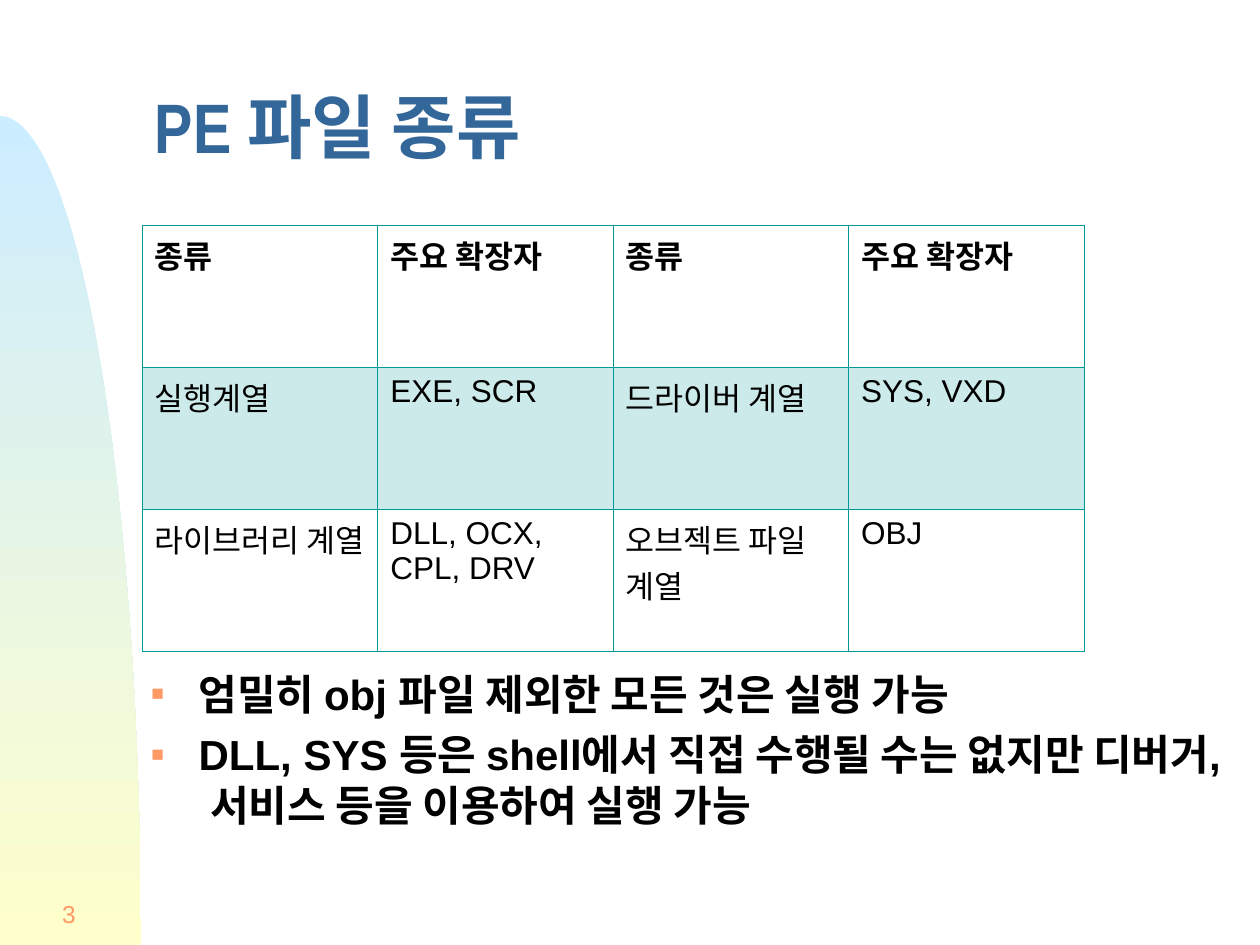
import math

from lxml import etree
from pptx import Presentation
from pptx import util as u
from pptx.dml.color import RGBColor
from pptx.enum import text
from pptx.oxml import ns

SKY = RGBColor(0xCC, 0xEC, 0xFF)
CREAM = RGBColor(0xFF, 0xFF, 0xCC)
BLUE = RGBColor(0x33, 0x66, 0x99)
ORANGE = RGBColor(0xFF, 0x99, 0x66)
TEAL = RGBColor(0x00, 0x99, 0x99)
INK = RGBColor(0x01, 0x00, 0x00)

ROWS = [
    ["종류", "주요 확장자", "종류", "주요 확장자"],
    ["실행계열", "EXE, SCR", "드라이버 계열", "SYS, VXD"],
    ["라이브러리 계열", "DLL, OCX, CPL, DRV", "오브젝트 파일 계열", "OBJ"],
]
BULLETS = [
    "엄밀히 obj 파일 제외한 모든 것은 실행 가능",
    "DLL, SYS 등은 shell에서 직접 수행될 수는 없지만 디버거, 서비스 등을 이용하여 실행 가능",
]
THIN, THICK = u.Pt(0.45), u.Pt(0.96)


def add_element(parent, tag, **attributes):
    return etree.SubElement(parent, ns.qn(tag), attributes)


def add_run(paragraph, words, size, color, bold=False, name="Arial"):
    run = paragraph.add_run()
    run.text = words
    run.font.size = u.Pt(size)
    run.font.name = name
    run.font.bold = bold
    run.font.color.rgb = color


def place(shape, box):
    shape.left, shape.top, shape.width, shape.height = box


def add_side_curve(slide, box):
    left, top, width, height = box
    bottom = top + height
    steps = 60
    angles = [math.pi / 2 * step / steps for step in range(1, steps + 1)]
    points = [(left + width * math.sin(angle), bottom - height * math.cos(angle))
              for angle in angles]
    builder = slide.shapes.build_freeform(left, top)
    builder.add_line_segments(points + [(left, bottom)], close=True)
    shape = builder.convert_to_shape()
    shape.shadow.inherit = False
    shape.line.fill.background()
    shape.fill.gradient()
    shape.fill.gradient_angle = 270
    for stop, color, position in zip(shape.fill.gradient_stops, (SKY, CREAM), (0, 1)):
        stop.color.rgb = color
        stop.position = position
    slide.shapes.title._element.addprevious(shape._element)


def add_slide_number(slide, box):
    shape = slide.shapes.add_textbox(*box)
    frame = shape.text_frame
    frame.word_wrap = False
    frame.vertical_anchor = text.MSO_ANCHOR.MIDDLE
    paragraph = frame.paragraphs[0]
    paragraph.alignment = text.PP_ALIGN.RIGHT
    add_run(paragraph, "3", 14, ORANGE)


def fill_title(slide, box):
    shape = slide.shapes.title
    place(shape, box)
    frame = shape.text_frame
    frame.auto_size = text.MSO_AUTO_SIZE.NONE
    frame.vertical_anchor = text.MSO_ANCHOR.MIDDLE
    paragraph = frame.paragraphs[0]
    paragraph.alignment = text.PP_ALIGN.LEFT
    paragraph.line_spacing = 0.7
    add_run(paragraph, "PE 파일 종류", 40, BLUE, True, "Arial Narrow")


def set_borders(cell, top, bottom):
    properties = cell._tc.get_or_add_tcPr()
    edges = (("a:lnL", THIN), ("a:lnR", THIN), ("a:lnT", top), ("a:lnB", bottom))
    for tag, width in edges:
        line = add_element(properties, tag, w=str(int(width)))
        add_element(add_element(line, "a:solidFill"), "a:srgbClr", val=str(TEAL))


def fill_cell(cell, words, row):
    set_borders(cell, THICK if row == 1 else THIN, THICK if row == 0 else THIN)
    if row == 1:
        cell.fill.solid()
        cell.fill.fore_color.rgb = TEAL
        color = cell._tc.tcPr.find(ns.qn("a:solidFill"))[0]
        add_element(color, "a:alpha", val="20000")
    else:
        cell.fill.background()
    add_run(cell.text_frame.paragraphs[0], words, 18, INK, row == 0)


def add_type_table(slide, box):
    left, top, width, height = box
    table = slide.shapes.add_table(len(ROWS), len(ROWS[0]), *box).table
    table.first_row = False
    table.horz_banding = False
    for column in table.columns:
        column.width = width // len(ROWS[0])
    for row in table.rows:
        row.height = height // len(ROWS)
    for row, entries in enumerate(ROWS):
        for column, words in enumerate(entries):
            fill_cell(table.cell(row, column), words, row)


def add_bullet(paragraph):
    properties = paragraph._p.get_or_add_pPr()
    indent = u.Cm(0.95)
    properties.set("marL", str(indent))
    properties.set("indent", str(-indent))
    color = add_element(properties, "a:buClr")
    add_element(color, "a:srgbClr", val=str(ORANGE))
    add_element(properties, "a:buSzPct", val="50000")
    add_element(properties, "a:buFont", typeface="Arial")
    add_element(properties, "a:buChar", char="■")


def fill_body(slide, box):
    shape = slide.placeholders[1]
    place(shape, box)
    frame = shape.text_frame
    frame.auto_size = text.MSO_AUTO_SIZE.NONE
    for index, words in enumerate(BULLETS):
        paragraph = frame.add_paragraph() if index else frame.paragraphs[0]
        add_bullet(paragraph)
        paragraph.space_before = u.Pt(6 if index else 0)
        add_run(paragraph, words, 24, INK, True)


def main():
    presentation = Presentation()
    presentation.slide_width = u.Cm(25.4)
    presentation.slide_height = u.Cm(19.05)
    slide = presentation.slides.add_slide(presentation.slide_layouts[1])
    add_side_curve(slide, (u.Cm(0), u.Cm(2.34), u.Cm(2.84), u.Cm(16.71)))
    add_slide_number(slide, (u.Cm(0), u.Cm(17.78), u.Cm(1.78), u.Cm(1.27)))
    fill_title(slide, (u.Cm(2.87), u.Cm(1.4), u.Cm(21.9), u.Cm(2.67)))
    add_type_table(slide, (u.Cm(2.87), u.Cm(4.55), u.Cm(18.98), u.Cm(8.59)))
    fill_body(slide, (u.Cm(2.8), u.Cm(13.34), u.Cm(21.9), u.Cm(4.22)))
    presentation.save("out.pptx")


if __name__ == "__main__":
    main()
